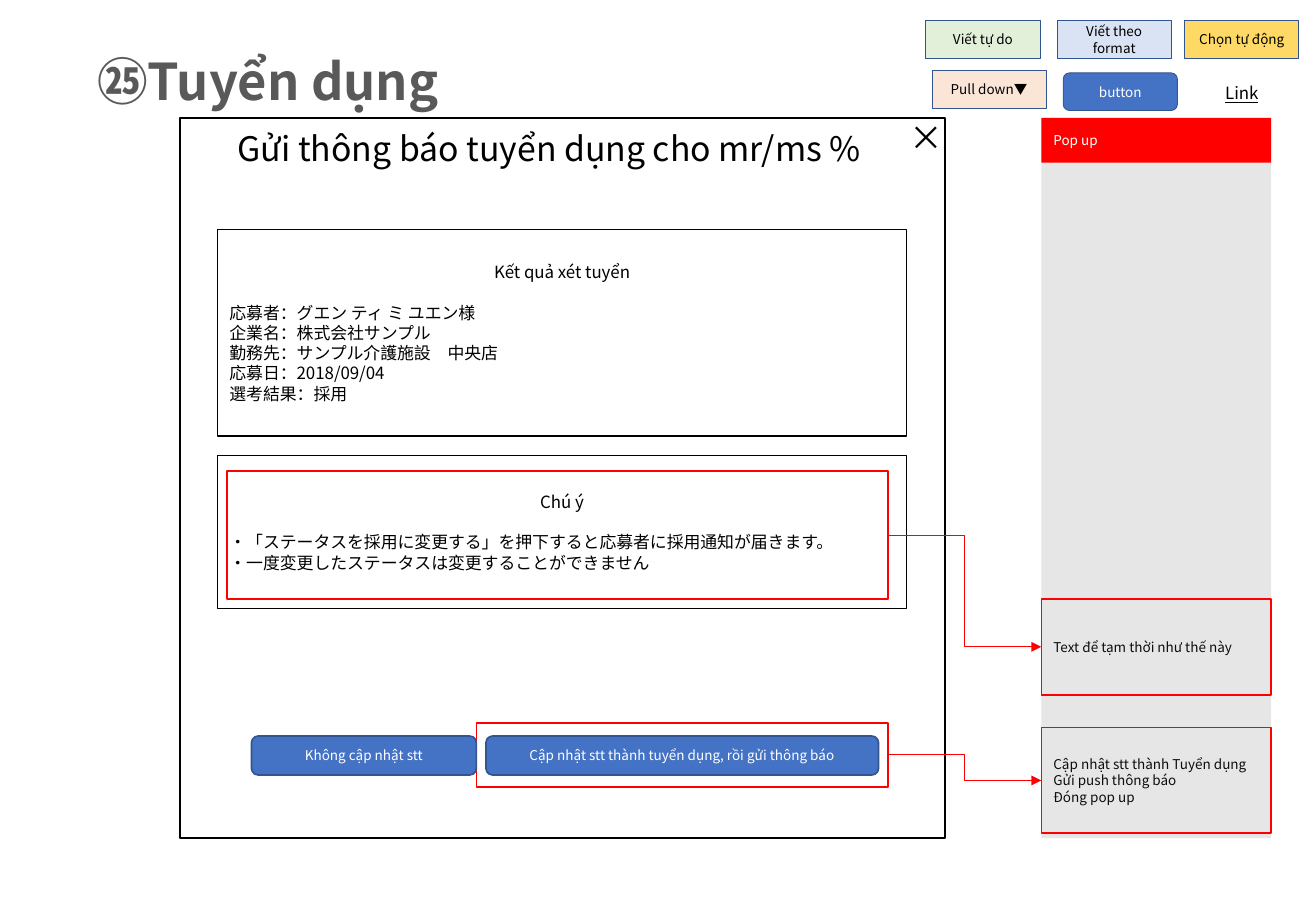
"""Build the recruitment pop-up specification slide."""
from pptx import Presentation
from pptx.dml.color import RGBColor
from pptx.enum.shapes import MSO_CONNECTOR, MSO_SHAPE
from pptx.enum.text import MSO_ANCHOR, MSO_AUTO_SIZE, PP_ALIGN
from pptx.oxml.ns import qn
from pptx.util import Inches, Pt
from lxml.etree import SubElement

FONT = "Noto Sans CJK JP"
BLACK, WHITE, RED, INK = "000000", "FFFFFF", "FF0000", "0D0D0D"
BLUE, NAVY, GREY = "4472C4", "325491", "E7E6E6"
LEFT, CENTER = PP_ALIGN.LEFT, PP_ALIGN.CENTER
RECT, ROUND = MSO_SHAPE.RECTANGLE, MSO_SHAPE.ROUNDED_RECTANGLE


def write(holder, lines, size, color, align=CENTER, heading=False, **extras):
    frame = holder.text_frame
    settings = {"word_wrap": True, "auto_size": MSO_AUTO_SIZE.NONE,
                "vertical_anchor": MSO_ANCHOR.MIDDLE}
    for key, value in settings.items():
        setattr(frame, key, value)
    for row, line in enumerate(lines):
        paragraph = frame.paragraphs[0] if row == 0 else frame.add_paragraph()
        paragraph.alignment = CENTER if heading and row == 0 else align
        paragraph.line_spacing = Pt(size * 1.2)
        paragraph.space_before = Pt(size * 1.2 if heading and row == 1 else 0)
        run = paragraph.add_run()
        run.text = line
        for key, value in {"size": Pt(size), "name": FONT, **extras}.items():
            setattr(run.font, key, value)
        run.font.color.rgb = RGBColor.from_string(color)
        SubElement(run.font._element, qn("a:ea")).set("typeface", FONT)


def panel(area, fill=None, line=None, weight=1, kind=RECT):
    shape = slide.shapes.add_shape(kind, *map(Inches, area))
    shape.shadow.inherit = False
    for part, color in ((shape.fill, fill), (shape.line.fill, line)):
        if color:
            part.solid()
            part.fore_color.rgb = RGBColor.from_string(color)
        else:
            part.background()
    if line:
        shape.line.width = Pt(weight)
    return shape


deck = Presentation()
deck.slide_width, deck.slide_height = Inches(10.83), Inches(7.5)
slide = deck.slides.add_slide(deck.slide_layouts[5])

POPUP_X, POPUP_W = 1.48, 6.3
TOP, HEIGHT = 0.97, 5.93
CARD_X, CARD_W = 1.79, 5.67
NOTE_X, NOTE_W = 8.57, 1.89
BUTTON_Y, BUTTON_H = 6.06, 0.32
FRAME_RIGHT = 7.31

title = slide.shapes.title
for side, length in {"left": 0.7, "top": 0.36, "width": 9.39, "height": 0.61}.items():
    setattr(title, side, Inches(length))
write(title, ["㉕Tuyển dụng"], 30, "595959", LEFT, bold=True)

panel((NOTE_X, TOP, NOTE_W, HEIGHT), GREY)
panel((POPUP_X, TOP, POPUP_W, HEIGHT), line=BLACK)

labels = [
    ((1.37, 1, POPUP_W, 0.44), "Gửi thông báo tuyển dụng cho mr/ms %", 20, {}),
    ((7.31, 0.91, 0.63, 0.44), "×", 20, {}),
    ((9.75, 0.63, 0.94, 0.27), "Link", 10, {"underline": True}),
]
for area, text, size, extras in labels:
    write(slide.shapes.add_textbox(*map(Inches, area)), [text], size, BLACK, **extras)

cards = [
    (1.89, 1.7, ["Kết quả xét tuyển", "応募者：グエン ティ ミ ユエン様", "企業名：株式会社サンプル",
                 "勤務先：サンプル介護施設　中央店", "応募日：2018/09/04", "選考結果：採用"]),
    (3.75, 1.26, ["Chú ý", "・「ステータスを採用に変更する」を押下すると応募者に採用通知が届きます。",
                  "・一度変更したステータスは変更することができません"]),
]
for top, height, lines in cards:
    card = panel((CARD_X, top, CARD_W, height), line=BLACK)
    write(card, lines, 10, BLACK, LEFT, heading=True)

header = panel((NOTE_X, TOP, NOTE_W, 0.37), RED)
write(header, ["Pop up"], 8, WHITE, LEFT)

callouts = [
    ((1.87, 3.88, FRAME_RIGHT - 1.87, 1.05), (4.93, 0.79), ["Text để tạm thời như thế này"]),
    ((3.92, 5.95, FRAME_RIGHT - 3.92, 0.53), (5.99, 0.87),
     ["Cập nhật stt thành Tuyển dụng", "Gửi push thông báo", "Đóng pop up"]),
]
for frame_area, (top, height), lines in callouts:
    highlight = panel(frame_area, line=RED)
    note = panel((NOTE_X, top, NOTE_W, height), line=RED)
    write(note, lines, 8, INK, LEFT)
    arrow = slide.shapes.add_connector(MSO_CONNECTOR.ELBOW, 0, 0, 0, 0)
    arrow.begin_connect(highlight, 3)
    arrow.end_connect(note, 1)
    arrow.line.width = Pt(0.5)
    arrow.line.color.rgb = RGBColor.from_string(RED)
    SubElement(arrow.line._get_or_add_ln(), qn("a:tailEnd")).set("type", "triangle")
    SubElement(arrow._element.spPr, qn("a:effectLst"))

actions = [
    (2.07, 1.85, "Không cập nhật stt"),
    (4, 3.23, "Cập nhật stt thành tuyển dụng, rồi gửi thông báo"),
]
for left, width, text in actions:
    button = panel((left, BUTTON_Y, width, BUTTON_H), BLUE, NAVY, kind=ROUND)
    write(button, [text], 8, WHITE)

legend = [
    (7.62, 0.17, "Viết tự do", "E2F0D9", BLACK, RECT),
    (8.7, 0.17, "Viết theo format", "DAE3F3", BLACK, RECT),
    (9.75, 0.17, "Chọn tự động", "FFD966", BLACK, RECT),
    (7.67, 0.58, "Pull down▼", "FBE5D6", BLACK, RECT),
    (8.75, 0.6, "button", BLUE, WHITE, ROUND),
]
for left, top, text, fill, color, kind in legend:
    key = panel((left, top, 0.94, 0.31), fill, NAVY, 0.5, kind)
    write(key, [text], 8, color)

deck.save("out.pptx")
